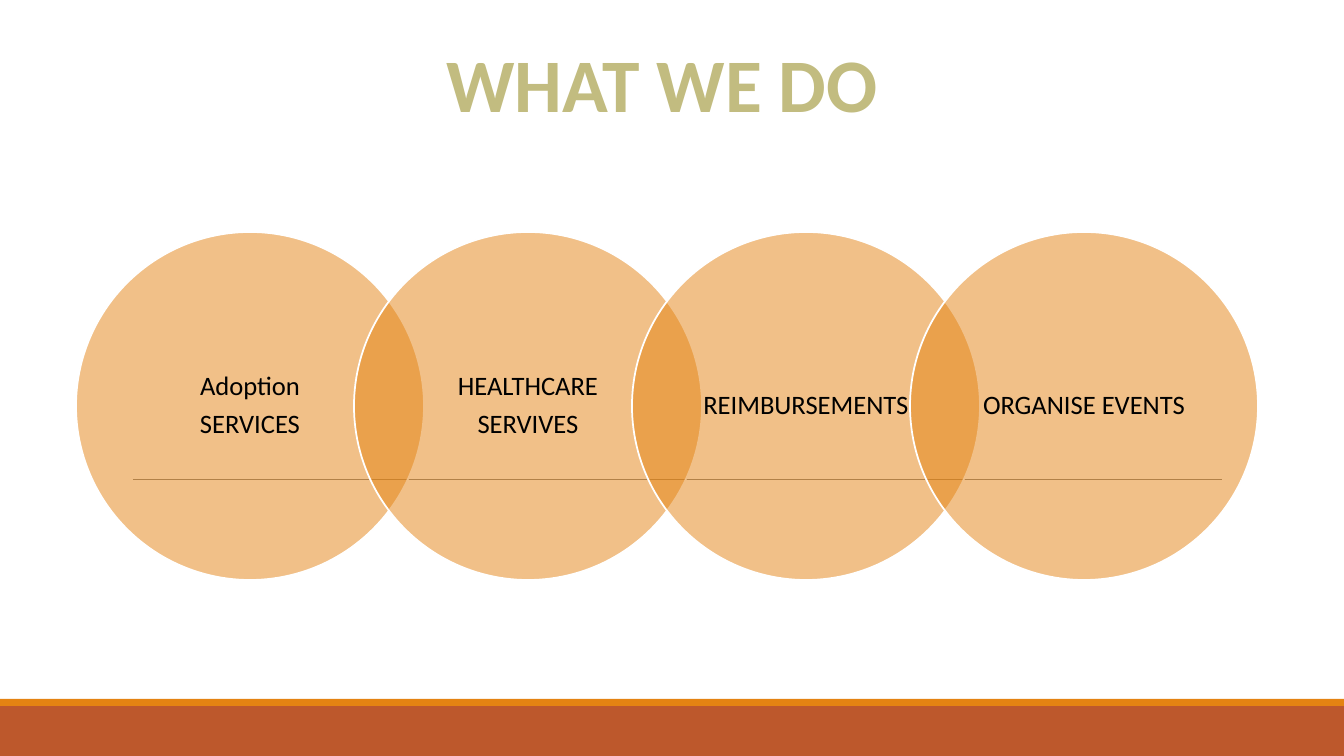
"""Build the slide of four linked circles that shows what we do."""
from dataclasses import dataclass

from lxml.etree import SubElement
from pptx import Presentation
from pptx.dml.color import RGBColor
from pptx.enum.shapes import MSO_CONNECTOR as Link, MSO_SHAPE as Kind
from pptx.enum.text import MSO_ANCHOR as Anchor, MSO_AUTO_SIZE as Fit, PP_ALIGN as Align
from pptx.oxml import parse_xml
from pptx.oxml.ns import nsdecls, qn
from pptx.util import Emu, Pt

WHITE = RGBColor(0xFF, 0xFF, 0xFF)
BLACK = RGBColor(0x00, 0x00, 0x00)
GREY = RGBColor(0x80, 0x80, 0x80)
RUST = RGBColor(0xBD, 0x58, 0x2C)
ORANGE = RGBColor(0xE4, 0x83, 0x12)
SAND = RGBColor(0xC2, 0xBC, 0x80)

WIDE, HIGH = 1344, 756
LEFT, TOP, SIZE, STEP = 76, 232, 348, 278


@dataclass
class Band:
    top: int
    high: int
    fill: RGBColor


@dataclass
class Disc:
    lines: tuple[str, ...]


BANDS = [Band(706, 50, RUST), Band(699, 7, ORANGE)]
DISCS = [
    Disc(("Adoption", "SERVICES")),
    Disc(("HEALTHCARE", "SERVIVES")),
    Disc(("REIMBURSEMENTS",)),
    Disc(("ORGANISE EVENTS",)),
]


def px(size: int) -> Emu:
    """Turn pixels into EMU."""
    return Emu(round(size * 12192000 / WIDE))


def put(item: object, **form: object) -> None:
    """Set each format value on the item."""
    for name, value in form.items():
        setattr(item, name, value)


def shape(slide, kind: Kind, box: tuple[int, ...], fill: RGBColor):
    """Add a flat shape with a solid fill."""
    item = slide.shapes.add_shape(kind, *map(px, box))
    item.shadow.inherit = False
    item.fill.solid()
    item.fill.fore_color.rgb = fill
    return item


def band(slide, spec: Band) -> None:
    """Draw a strip across the foot of the slide."""
    item = shape(slide, Kind.RECTANGLE, (0, spec.top, WIDE, spec.high), spec.fill)
    item.line.fill.background()


def rule(slide) -> None:
    """Draw the thin line that runs behind the circles."""
    item = slide.shapes.add_connector(Link.STRAIGHT, px(133), px(479), px(1222), px(479))
    put(item.line, width=Pt(0.5))
    item.line.color.rgb = GREY
    SubElement(item._element.spPr, qn("a:effectLst"))


def title(slide, text: str) -> None:
    """Place the heading and give its letters a white edge."""
    head = slide.shapes.title
    put(head, left=px(407), top=px(32), width=px(510), height=px(102))
    put(head.text_frame, text=text, vertical_anchor=Anchor.TOP,
        auto_size=Fit.NONE, word_wrap=False)
    para = head.text_frame.paragraphs[0]
    para.alignment = Align.CENTER
    run = para.runs[0]
    put(run.font, name="Calibri", size=Pt(54), bold=True)
    run.font.color.rgb = SAND
    edge = parse_xml(f'<a:ln {nsdecls("a")} w="{Pt(0.75)}"><a:solidFill>'
                     f'<a:srgbClr val="{WHITE}"/></a:solidFill></a:ln>')
    run.font._element.insert(0, edge)


def disc(slide, spec: Disc, left: int) -> None:
    """Draw a half clear circle with its label."""
    item = shape(slide, Kind.OVAL, (left, TOP, SIZE, SIZE), ORANGE)
    tint = item._element.spPr.find(qn("a:solidFill"))[0]
    SubElement(tint, qn("a:alpha"), val="50000")
    put(item.line, width=Pt(1.25))
    item.line.color.rgb = WHITE
    frame = item.text_frame
    put(frame, text="\n".join(spec.lines), word_wrap=True, vertical_anchor=Anchor.MIDDLE,
        margin_left=px(18), margin_right=px(18), margin_top=px(3), margin_bottom=px(3))
    for para in frame.paragraphs:
        put(para, alignment=Align.CENTER, line_spacing=0.9, space_after=Pt(6.5))
        font = para.runs[0].font
        put(font, name="Calibri", size=Pt(19))
        font.color.rgb = BLACK


def main() -> None:
    """Build and save the slide."""
    deck = Presentation()
    put(deck, slide_width=px(WIDE), slide_height=px(HIGH))
    slide = deck.slides.add_slide(deck.slide_layouts[5])
    for spec in BANDS:
        band(slide, spec)
    rule(slide)
    title(slide, "WHAT WE DO")
    for i, spec in enumerate(DISCS):
        disc(slide, spec, LEFT + i * STEP)
    deck.save("out.pptx")


if __name__ == "__main__":
    main()
